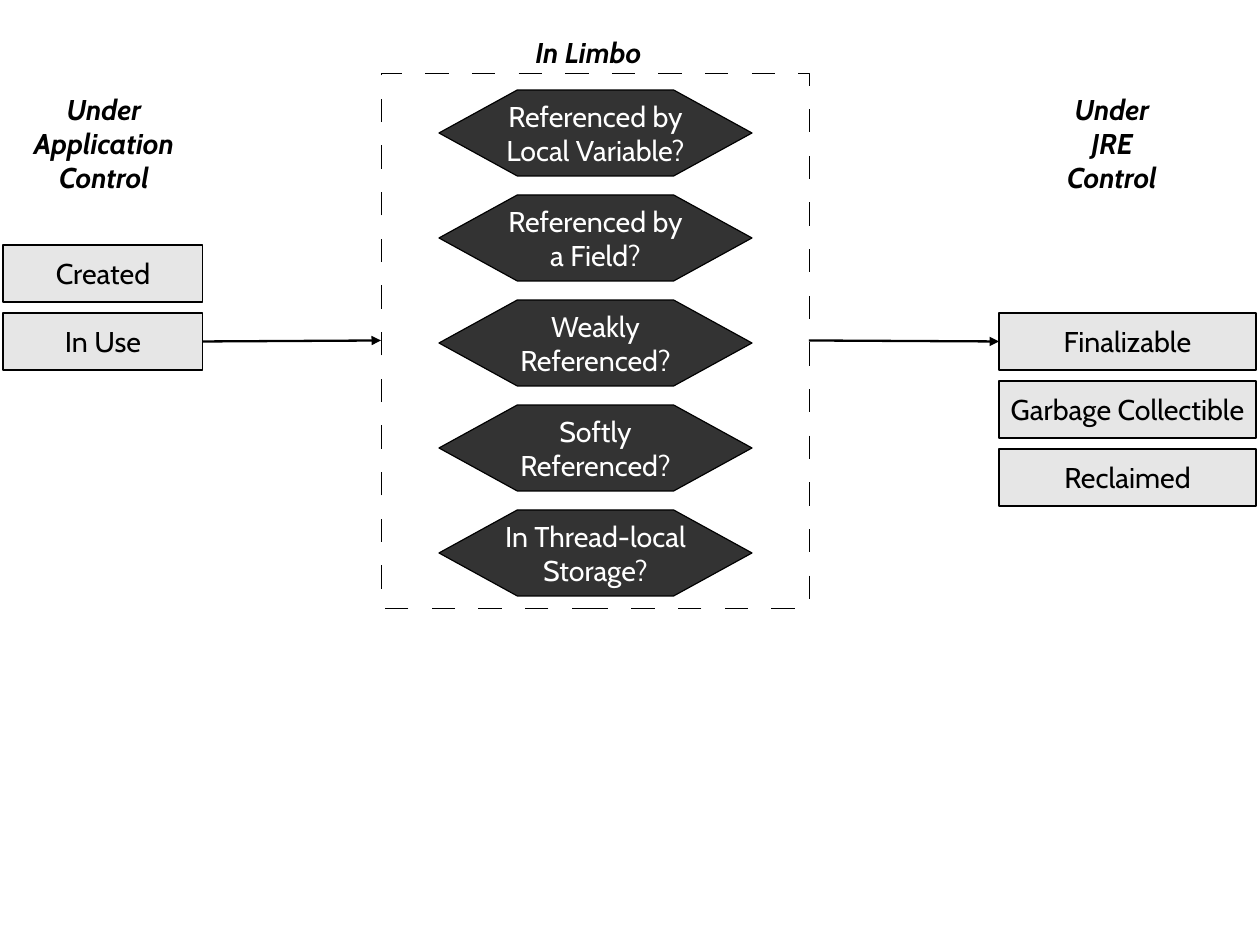
from dataclasses import dataclass

from lxml.etree import SubElement
from pptx import Presentation
from pptx.dml.color import RGBColor
from pptx.enum.shapes import MSO_CONNECTOR, MSO_SHAPE
from pptx.enum.text import MSO_ANCHOR, MSO_AUTO_SIZE, PP_ALIGN
from pptx.oxml.ns import qn
from pptx.util import Pt

PX = 8000


@dataclass(frozen=True)
class Theme:
    font: str = "Cabin"
    size: Pt = Pt(18)
    black: RGBColor = RGBColor(0, 0, 0)
    white: RGBColor = RGBColor(255, 255, 255)
    dark: RGBColor = RGBColor(0x33, 0x33, 0x33)
    light: RGBColor = RGBColor(0xE6, 0xE6, 0xE6)
    hair: Pt = Pt(0)
    dash: Pt = Pt(0.5)
    arrow: Pt = Pt(1.45)


THEME = Theme()


def scale(*sizes):
    return [size * PX for size in sizes]


def write(shape, text, color, **extra):
    """Set centred lines of text; extra holds further font values."""
    frame = shape.text_frame
    frame.text = text
    frame.word_wrap = False
    style = {"name": THEME.font, "size": THEME.size, **extra}
    for line in frame.paragraphs:
        line.alignment = PP_ALIGN.CENTER
        line.font.color.rgb = color
        for key, value in style.items():
            setattr(line.font, key, value)


def add_shape(slide, kind, area, fill=None, width=THEME.hair):
    shape = slide.shapes.add_shape(kind, *scale(*area))
    shape.shadow.inherit = False
    if fill is None:
        shape.fill.background()
    else:
        shape.fill.solid()
        shape.fill.fore_color.rgb = fill
    shape.line.color.rgb = THEME.black
    shape.line.width = width
    shape.text_frame.vertical_anchor = MSO_ANCHOR.MIDDLE
    return shape


def add_state(slide, text, area):
    box = add_shape(slide, MSO_SHAPE.RECTANGLE, area, THEME.light)
    write(box, text, THEME.black)
    return box


def add_check(slide, text, area):
    check = add_shape(slide, MSO_SHAPE.HEXAGON, area, THEME.dark)
    check.adjustments[0] = 0.91
    write(check, text, THEME.white)


def add_frame(slide, area):
    """Draw the open box whose dashes and gaps are 0.2 inch long."""
    frame = add_shape(slide, MSO_SHAPE.RECTANGLE, area, width=THEME.dash)
    dash = SubElement(frame.line._get_or_add_ln(), qn("a:custDash"))
    SubElement(dash, qn("a:ds"), d="2880000", sp="2880000")
    return frame


def add_head(slide, text, area):
    head = slide.shapes.add_textbox(*scale(*area))
    write(head, text, THEME.black, bold=True, italic=True)
    head.text_frame.auto_size = MSO_AUTO_SIZE.SHAPE_TO_FIT_TEXT


def add_arrow(slide, start, end):
    """Join the right side of start to the left side of end."""
    arrow = slide.shapes.add_connector(MSO_CONNECTOR.STRAIGHT, 0, 0, 0, 0)
    arrow.begin_connect(start, 3)
    arrow.end_connect(end, 1)
    arrow.line.color.rgb = THEME.black
    arrow.line.width = THEME.arrow
    SubElement(arrow.line._get_or_add_ln(), qn("a:tailEnd"), type="triangle")
    SubElement(arrow._element.spPr, qn("a:effectLst"))


def main():
    deck = Presentation()
    deck.slide_width, deck.slide_height = scale(1260, 945)
    slide = deck.slides.add_slide(deck.slide_layouts[6])

    limbo = add_frame(slide, (381, 73, 428, 535))
    checks = [
        "Referenced by\nLocal Variable?",
        "Referenced by\na Field?",
        "Weakly\nReferenced?",
        "Softly\nReferenced?",
        "In Thread-local\nStorage?",
    ]
    for row, text in enumerate(checks):
        add_check(slide, text, (439, 90 + 105 * row, 313, 86))

    columns = [
        (3, 200, 0, ["Created", "In Use"]),
        (999, 257, 1, ["Finalizable", "Garbage Collectible", "Reclaimed"]),
    ]
    states = {}
    for left, width, first, names in columns:
        for row, name in enumerate(names, first):
            area = (left, 245 + 68 * row, width, 57)
            states[name] = add_state(slide, name, area)

    add_arrow(slide, states["In Use"], limbo)
    add_arrow(slide, limbo, states["Finalizable"])

    add_head(slide, "Under\nApplication\nControl", (13, 86, 182, 128))
    add_head(slide, "In Limbo", (517, 29, 143, 50))
    add_head(slide, "Under\nJRE\nControl", (1049, 86, 126, 128))
    deck.save("out.pptx")


if __name__ == "__main__":
    main()
